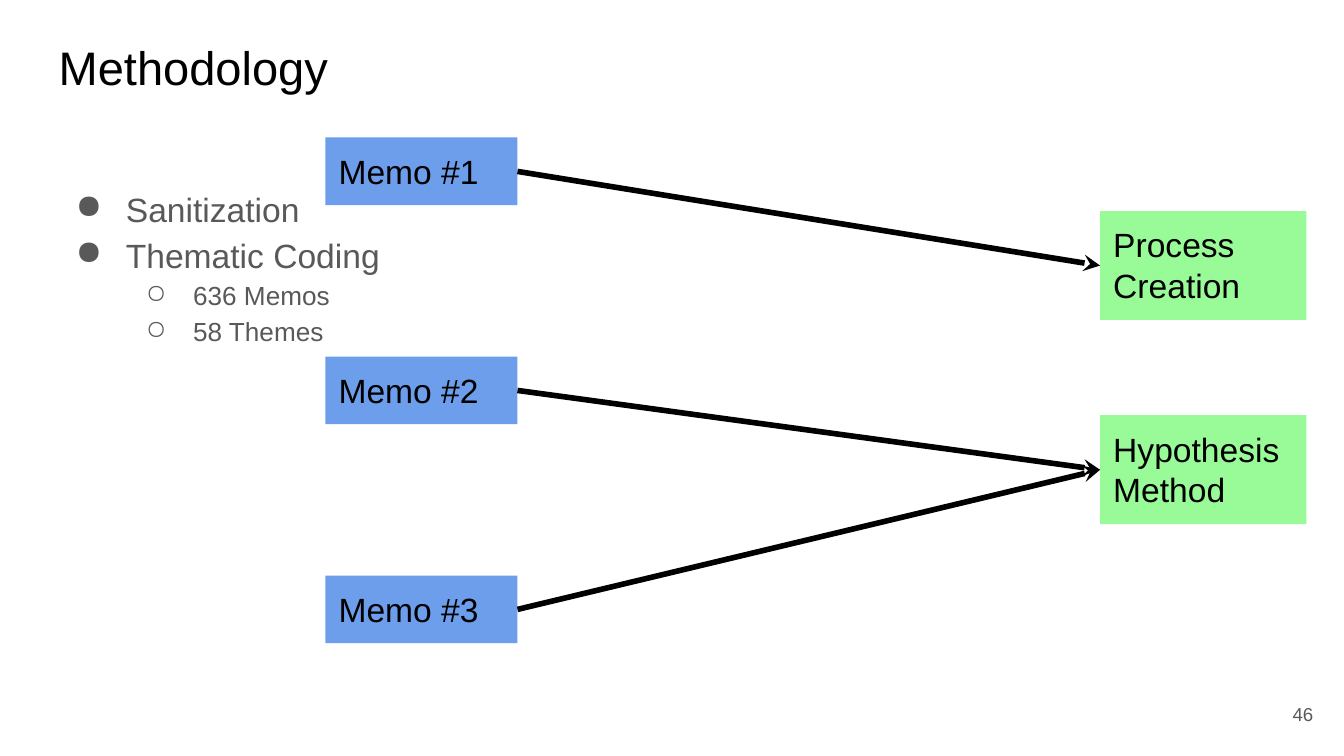
from dataclasses import dataclass

from lxml.etree import SubElement
from pptx import Presentation
from pptx.dml.color import RGBColor
from pptx.enum.shapes import MSO_CONNECTOR, MSO_SHAPE
from pptx.enum.text import MSO_ANCHOR, PP_ALIGN
from pptx.oxml.ns import qn
from pptx.util import Cm, Pt


@dataclass(frozen=True)
class Theme:
    font: str = "Arial"
    ink: RGBColor = RGBColor(0x00, 0x00, 0x00)
    muted: RGBColor = RGBColor(0x59, 0x59, 0x59)
    memo: RGBColor = RGBColor(0x6D, 0x9E, 0xEB)
    theme: RGBColor = RGBColor(0x98, 0xFB, 0x98)
    title_size: float = 25.2
    main_size: float = 18
    sub_size: float = 14
    number_size: float = 10


THEME = Theme()


def set_frame(shape, anchor=MSO_ANCHOR.TOP):
    frame = shape.text_frame
    frame.word_wrap = True
    frame.vertical_anchor = anchor
    frame.margin_left = frame.margin_right = Cm(0.25)
    frame.margin_top = frame.margin_bottom = Cm(0.25)
    return frame


def write(paragraph, text, size, color, align=PP_ALIGN.LEFT):
    paragraph.text = text
    paragraph.alignment = align
    paragraph.font.name = THEME.font
    paragraph.font.size = Pt(size)
    paragraph.font.color.rgb = color


prs = Presentation()
prs.slide_width, prs.slide_height = Cm(25.4), Cm(14.29)
slide = prs.slides.add_slide(prs.slide_layouts[6])
shapes = slide.shapes

# Title
title = set_frame(shapes.add_textbox(Cm(0.86), Cm(0.48), Cm(23.67), Cm(1.6)))
write(title.paragraphs[0], "Methodology", THEME.title_size, THEME.ink)

# Bulleted steps: text, level
steps = [("Sanitization", 0), ("Thematic Coding", 0), ("636 Memos", 1), ("58 Themes", 1)]
levels = [("●", Cm(1.27), Cm(-0.95), THEME.main_size),
          ("○", Cm(2.54), Cm(-0.89), THEME.sub_size)]
body = set_frame(shapes.add_textbox(Cm(0.86), Cm(3.2), Cm(23.67), Cm(9.5)))
for i, (step, level) in enumerate(steps):
    paragraph = body.add_paragraph() if i else body.paragraphs[0]
    bullet, margin, indent, size = levels[level]
    paragraph.level = level
    paragraph.line_spacing = 1.15
    properties = paragraph._p.get_or_add_pPr()
    properties.set("marL", str(margin))
    properties.set("indent", str(indent))
    bullet_color = SubElement(properties, qn("a:buClr"))
    SubElement(bullet_color, qn("a:srgbClr"), val=str(THEME.muted))
    SubElement(properties, qn("a:buChar"), char=bullet)
    write(paragraph, step, size, THEME.muted)

# Slide number
number = set_frame(shapes.add_textbox(Cm(23.55), Cm(12.95), Cm(1.52), Cm(1.09)),
                   MSO_ANCHOR.MIDDLE)
write(number.paragraphs[0], "46", THEME.number_size, THEME.muted, PP_ALIGN.RIGHT)

# Memo and theme columns: labels, left, first top, step, width, height, fill
columns = [
    (["Memo #1", "Memo #2", "Memo #3"], 6.15, 2.6, 4.14, 3.63, 1.28, THEME.memo),
    (["Process Creation", "Hypothesis Method"], 20.79, 3.99, 3.86, 3.9, 2.06, THEME.theme),
]
boxes = {}
for labels, left, top, gap, width, height, fill in columns:
    for row, label in enumerate(labels):
        box = shapes.add_shape(MSO_SHAPE.RECTANGLE, Cm(left), Cm(top + row * gap),
                               Cm(width), Cm(height))
        box.shadow.inherit = False
        box.fill.solid()
        box.fill.fore_color.rgb = fill
        box.line.fill.background()
        write(set_frame(box).paragraphs[0], label, THEME.main_size, THEME.ink)
        boxes[label] = box

# Arrows from each memo to its theme
codings = [("Memo #3", "Hypothesis Method"), ("Memo #2", "Hypothesis Method"),
           ("Memo #1", "Process Creation")]
for memo, theme in codings:
    arrow = shapes.add_connector(MSO_CONNECTOR.STRAIGHT, 0, 0, 0, 0)
    arrow.begin_connect(boxes[memo], 3)
    arrow.end_connect(boxes[theme], 1)
    arrow.line.color.rgb = THEME.ink
    arrow.line.width = Pt(3)
    SubElement(arrow.line._get_or_add_ln(), qn("a:tailEnd"), type="stealth")
    SubElement(arrow._element.spPr, qn("a:effectLst"))

prs.save("out.pptx")
